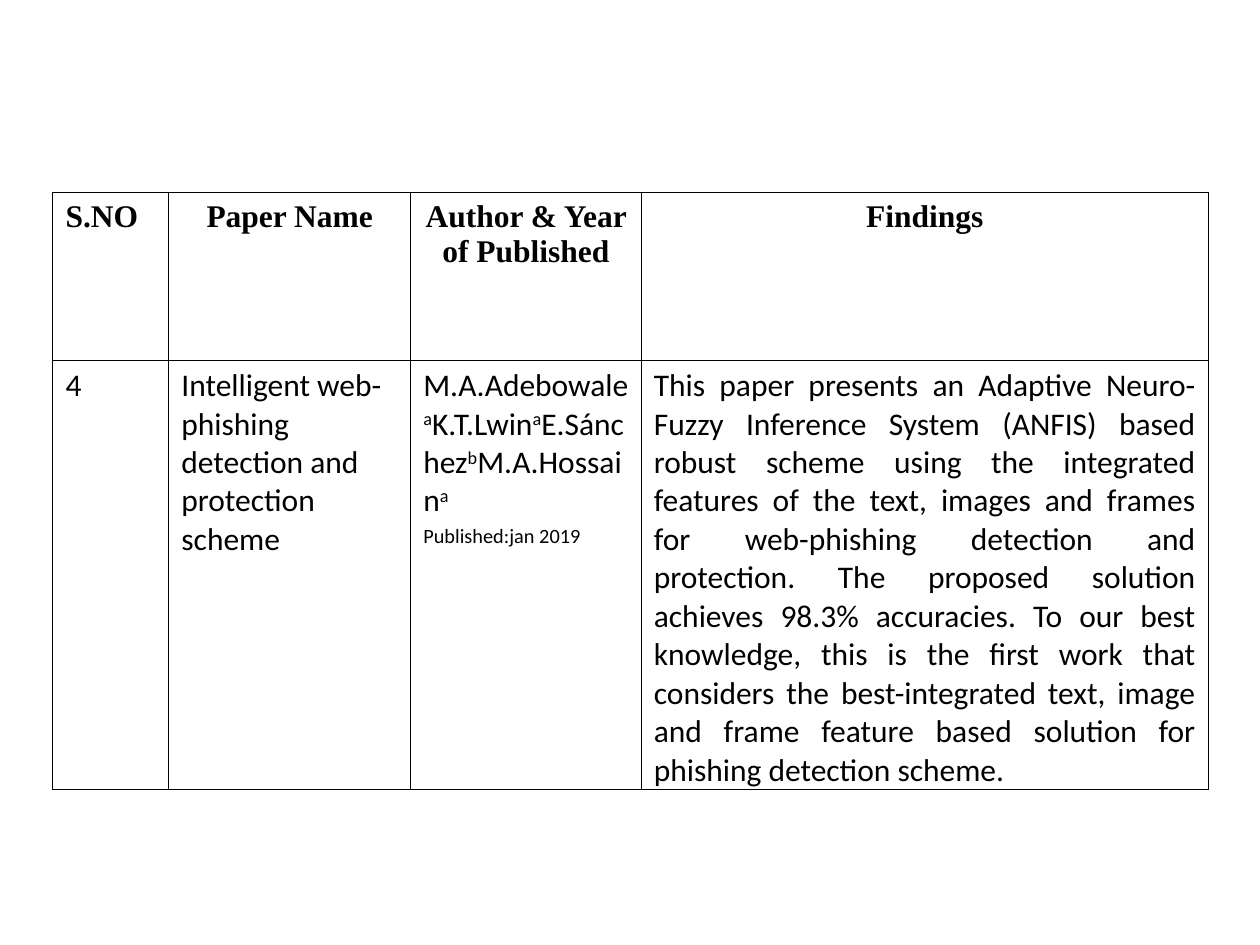
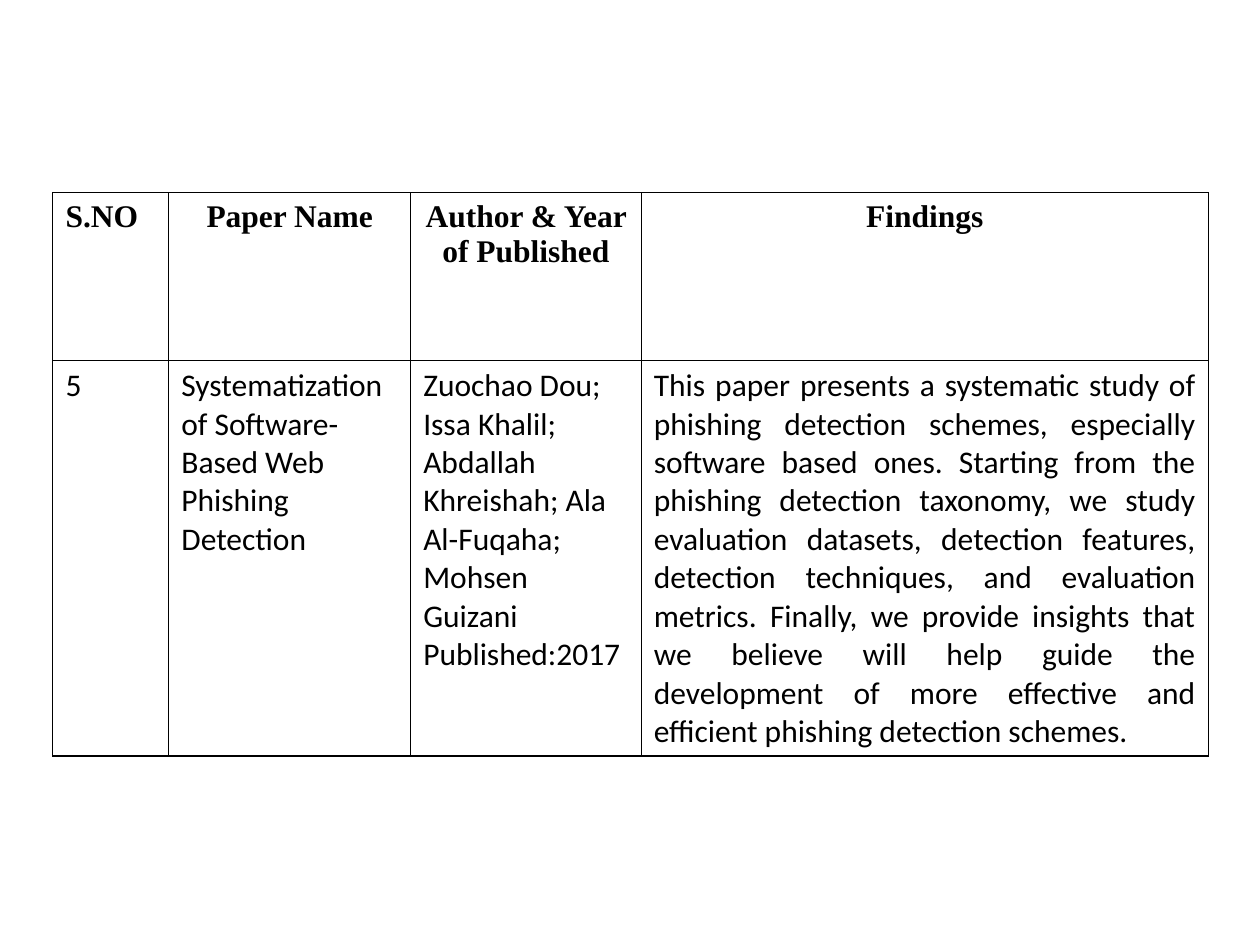
from dataclasses import dataclass

from lxml.etree import SubElement
from pptx import Presentation
from pptx.dml.color import RGBColor
from pptx.enum.text import PP_ALIGN
from pptx.oxml.ns import qn
from pptx.util import Inches, Pt

SLIDE_WIDTH, SLIDE_HEIGHT = 10, 7.5
TABLE_LEFT, TABLE_TOP = 0.42, 1.53
COLUMN_WIDTHS = (0.92, 1.92, 1.83, 4.5)
ROW_HEIGHTS = (1.33, 3.14)
BLACK, WHITE = "000000", "FFFFFF"
HEADING_FONT, BODY_FONT = "Times New Roman", "Calibri"
BORDER_POINTS = 0.75
SUPERSCRIPT = 30000


@dataclass(frozen=True)
class TextRun:
    """A stretch of text with one size and position."""
    text: str
    size: int = 18
    raised: bool = False


@dataclass(frozen=True)
class CellText:
    """The paragraphs of one cell and how they are set."""
    paragraphs: tuple[tuple[TextRun, ...], ...]
    alignment: PP_ALIGN = PP_ALIGN.LEFT
    font: str = BODY_FONT
    bold: bool = False


@dataclass(frozen=True)
class Paper:
    """One surveyed paper."""
    number: str
    name: str
    authors: tuple[tuple[TextRun, ...], ...]
    findings: str


PAPERS = (
    Paper(
        "4",
        "Intelligent web-phishing detection and protection scheme",
        (
            (
                TextRun("M.A.Adebowale"), TextRun("a", raised=True),
                TextRun("K.T.Lwin"), TextRun("a", raised=True),
                TextRun("E.Sánchez"), TextRun("b", raised=True),
                TextRun("M.A.Hossain"), TextRun("a", raised=True),
            ),
            (TextRun("Published:jan 2019", 20, True),),
        ),
        "This paper presents an Adaptive Neuro-Fuzzy Inference System (ANFIS) based robust "
        "scheme using the integrated features of the text, images and frames for web-phishing "
        "detection and protection. The proposed solution achieves 98.3% accuracies. To our best "
        "knowledge, this is the first work that considers the best-integrated text, image and "
        "frame feature based solution for phishing detection scheme.",
    ),
    Paper(
        "5",
        "Systematization of Software-Based Web Phishing Detection",
        (
            (TextRun("Zuochao Dou; Issa Khalil; Abdallah Khreishah; Ala Al-Fuqaha; Mohsen Guizani"),),
            (TextRun("Published:2017"),),
        ),
        "This paper presents a systematic study of phishing detection schemes, especially "
        "software based ones. Starting from the phishing detection taxonomy, we study evaluation "
        "datasets, detection features, detection techniques, and evaluation metrics. Finally, we "
        "provide insights that we believe will help guide the development of more effective and "
        "efficient phishing detection schemes.",
    ),
)


def color(hex_value: str) -> RGBColor:
    """Turn a hex string into a colour."""
    return RGBColor.from_string(hex_value)


def heading(text: str, alignment: PP_ALIGN = PP_ALIGN.CENTER) -> CellText:
    """Set a column heading."""
    return CellText(((TextRun(text),),), alignment, HEADING_FONT, True)


def body(text: str, alignment: PP_ALIGN = PP_ALIGN.LEFT) -> CellText:
    """Set a plain body cell."""
    return CellText(((TextRun(text),),), alignment)


HEADINGS = (
    heading("S.NO", PP_ALIGN.LEFT),
    heading("Paper Name"),
    heading("Author & Year of Published"),
    heading("Findings"),
)


def draw_borders(cell) -> None:
    """Rule all four sides of a cell."""
    properties = cell._tc.get_or_add_tcPr()
    for side in ("a:lnL", "a:lnR", "a:lnT", "a:lnB"):
        line = SubElement(properties, qn(side), w=str(Pt(BORDER_POINTS)))
        fill = SubElement(line, qn("a:solidFill"))
        SubElement(fill, qn("a:srgbClr"), val=BLACK)


def write_cell(cell, content: CellText) -> None:
    """Format a cell and write its text run by run."""
    draw_borders(cell)
    cell.fill.solid()
    cell.fill.fore_color.rgb = color(WHITE)
    cell.margin_left = cell.margin_right = Inches(0.1)
    cell.margin_top, cell.margin_bottom = Inches(0.05), 0
    frame = cell.text_frame
    for index, text_runs in enumerate(content.paragraphs):
        paragraph = frame.add_paragraph() if index else frame.paragraphs[0]
        paragraph.alignment = content.alignment
        for text_run in text_runs:
            run = paragraph.add_run()
            run.text = text_run.text
            run.font.name = content.font
            run.font.size = Pt(text_run.size)
            run.font.bold = content.bold
            run.font.color.rgb = color(BLACK)
            if text_run.raised:
                run.font._element.set("baseline", str(SUPERSCRIPT))


def add_paper_slide(presentation, paper: Paper) -> None:
    """Add a slide with the survey table for one paper."""
    slide = presentation.slides.add_slide(presentation.slide_layouts[6])
    rows = (
        HEADINGS,
        (
            body(paper.number),
            body(paper.name),
            CellText(paper.authors),
            body(paper.findings, PP_ALIGN.JUSTIFY),
        ),
    )
    table = slide.shapes.add_table(
        len(ROW_HEIGHTS), len(COLUMN_WIDTHS),
        Inches(TABLE_LEFT), Inches(TABLE_TOP),
        Inches(sum(COLUMN_WIDTHS)), Inches(sum(ROW_HEIGHTS)),
    ).table
    table.horz_banding = False
    table.first_row = False
    for column, width in zip(table.columns, COLUMN_WIDTHS):
        column.width = Inches(width)
    for row, height, contents in zip(table.rows, ROW_HEIGHTS, rows):
        row.height = Inches(height)
        for cell, content in zip(row.cells, contents):
            write_cell(cell, content)


def main() -> None:
    """Build the presentation."""
    presentation = Presentation()
    presentation.slide_width = Inches(SLIDE_WIDTH)
    presentation.slide_height = Inches(SLIDE_HEIGHT)
    for paper in PAPERS:
        add_paper_slide(presentation, paper)
    presentation.save("out.pptx")


if __name__ == "__main__":
    main()
